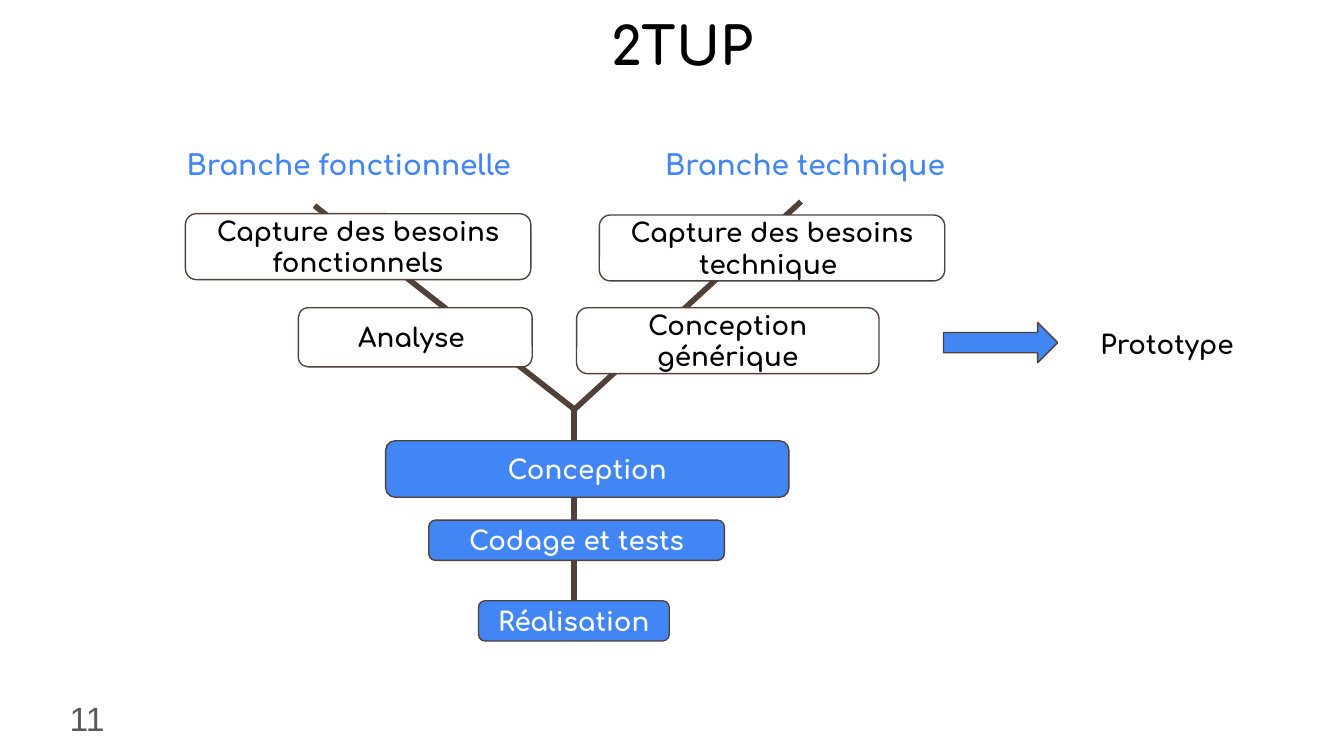
"""Build the 2TUP slide: two branches joining in a Y-shaped process."""
from lxml import etree
from pptx import Presentation
from pptx import util as u
from pptx.dml.color import RGBColor
from pptx.enum import shapes, text
from pptx.oxml import ns

BLACK = RGBColor(0x00, 0x00, 0x00)
WHITE = RGBColor(0xFF, 0xFF, 0xFF)
BLUE = RGBColor(0x42, 0x85, 0xF4)
BROWN = RGBColor(0x51, 0x41, 0x38)
GREY = RGBColor(0x59, 0x59, 0x59)


def write(box, wording, size, color, align, font="Comfortaa", bold=True):
    frame = box.text_frame
    frame.word_wrap = True
    frame.margin_left = frame.margin_right = u.Inches(0.1)
    frame.margin_top = frame.margin_bottom = u.Inches(0.1)
    frame.text = wording
    para = frame.paragraphs[0]
    para.alignment = align
    for span in para.runs:
        span.font.name = font
        span.font.size = u.Pt(size)
        span.font.bold = bold
        span.font.color.rgb = color


def draw(kind, place, fill):
    shape = page.shapes.add_shape(kind, *map(u.Inches, place))
    shape.shadow.inherit = False
    shape.fill.solid()
    shape.fill.fore_color.rgb = fill
    shape.line.color.rgb = BROWN
    shape.line.width = u.Pt(0.75)
    return shape


deck = Presentation()
deck.slide_width = u.Inches(10)
deck.slide_height = u.Inches(10 * 9 / 16)
page = deck.slides.add_slide(deck.slide_layouts[6])
LEFT, CENTER = text.PP_ALIGN.LEFT, text.PP_ALIGN.CENTER

labels = [
    ("2TUP", (0.45, 0, 9.25, 0.69), 28, BLACK, CENTER),
    ("Branche fonctionnelle", (1.29, 1, 2.68, 0.45), 15, BLUE, LEFT),
    ("Branche technique", (4.85, 1, 2.68, 0.45), 15, BLUE, LEFT),
    ("Prototype", (8.09, 2.34, 1.27, 0.44), 14, BLACK, LEFT),
]
for wording, place, size, color, align in labels:
    label = page.shapes.add_textbox(*map(u.Inches, place))
    write(label, wording, size, color, align)

number = page.shapes.add_textbox(*map(u.Inches, (0.42, 5.09, 0.72, 0.22)))
write(number, "11", 18, GREY, LEFT, "Arial", False)

branches = [
    (4.27, 3.05, 5.96, 1.5),
    (2.34, 1.53, 4.28, 3.05),
    (4.27, 3.03, 4.27, 4.77),
]
for ends in branches:
    branch = page.shapes.add_connector(shapes.MSO_CONNECTOR.STRAIGHT, *map(u.Inches, ends))
    branch.line.color.rgb = BROWN
    branch.line.width = u.Pt(3)
    etree.SubElement(branch._element.spPr, ns.qn("a:effectLst"))
stem = branch

steps = [
    ("Capture des besoins technique ", (4.46, 1.6, 2.57, 0.49), WHITE, BLACK),
    ("Conception générique", (4.29, 2.29, 2.25, 0.49), WHITE, BLACK),
    ("Analyse ", (2.22, 2.29, 1.74, 0.44), WHITE, BLACK),
    ("Capture des besoins fonctionnels", (1.38, 1.59, 2.57, 0.49), WHITE, BLACK),
    (" Conception ", (2.87, 3.28, 3, 0.42), BLUE, WHITE),
    ("Codage et tests", (3.19, 3.87, 2.2, 0.3), BLUE, WHITE),
    ("Réalisation", (3.56, 4.47, 1.42, 0.3), BLUE, WHITE),
]
for wording, place, fill, color in steps:
    step = draw(shapes.MSO_SHAPE.ROUNDED_RECTANGLE, place, fill)
    step.text_frame.vertical_anchor = text.MSO_ANCHOR.MIDDLE
    write(step, wording, 14, color, CENTER)
stem.end_connect(step, 2)

draw(shapes.MSO_SHAPE.RIGHT_ARROW, (7.02, 2.4, 0.85, 0.3), BLUE)

deck.save("out.pptx")
